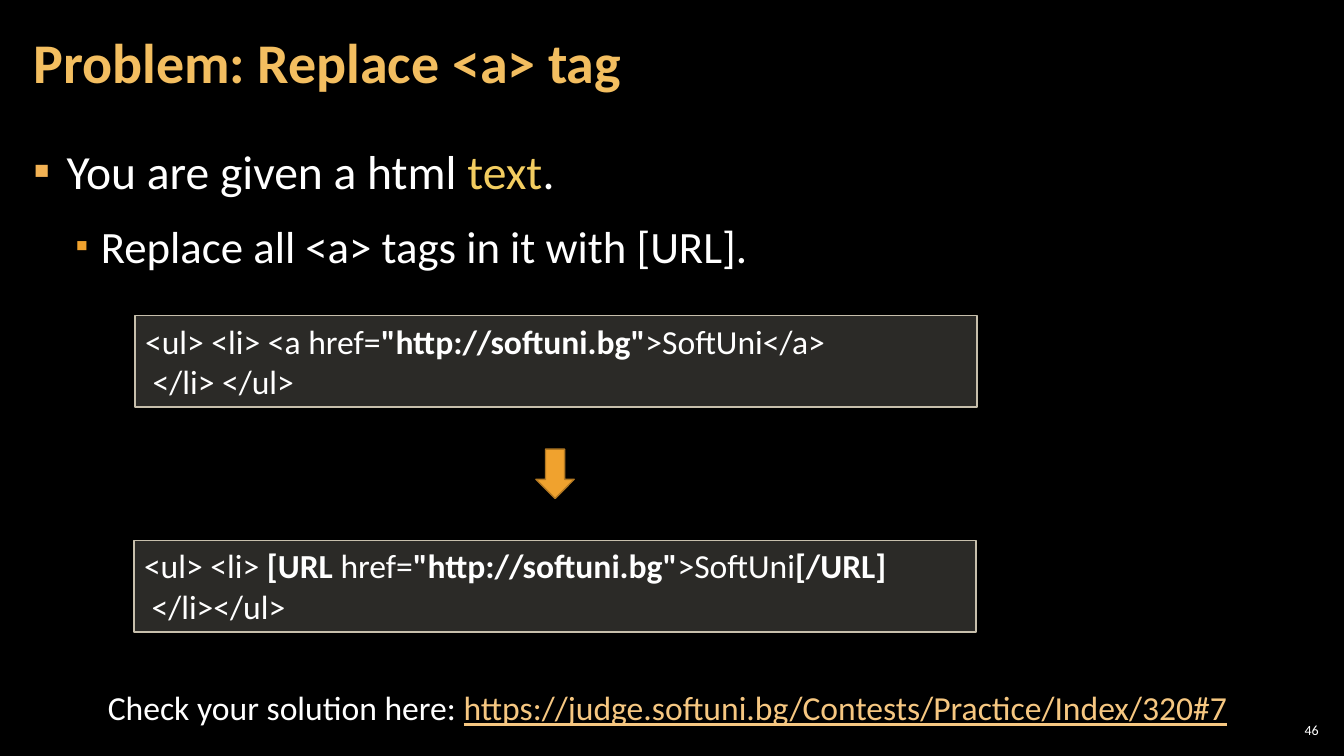
import pptx
import pptx.dml.color
import pptx.enum.shapes
import pptx.enum.text
import pptx.oxml.ns
import pptx.util
from lxml import etree

Inches = pptx.util.Inches
Pt = pptx.util.Pt
Align = pptx.enum.text.PP_ALIGN
Anchor = pptx.enum.text.MSO_ANCHOR
Shape = pptx.enum.shapes.MSO_SHAPE

WHITE, GOLD, ORANGE = "FFFFFF", "F3BE60", "F0A22E"
BOLD = {"bold": True}


def color(value):
    return pptx.dml.color.RGBColor.from_string(value)


def apply(target, values):
    for name, value in values.items():
        setattr(target, name, value)


def add_element(parent, tag, **attributes):
    element = etree.SubElement(parent, pptx.oxml.ns.qn(tag))
    for name, value in attributes.items():
        element.set(name, value)
    return element


class SlideBuilder:
    font_name = "Calibri"
    narrow_margins = (0.12, 0.04, 0.12, 0.04)
    code_margins = (0.1, 0.05, 0.1, 0.05)

    def __init__(self, presentation):
        self.slide = presentation.slides.add_slide(presentation.slide_layouts[5])
        background = self.slide.background.fill
        background.solid()
        background.fore_color.rgb = color("000000")

    def place(self, shape, box):
        apply(shape, dict(zip(("left", "top", "width", "height"), map(Inches, box))))

    def prepare_frame(self, shape, margins, anchor=Anchor.TOP):
        frame = shape.text_frame
        sides = ("margin_left", "margin_top", "margin_right", "margin_bottom")
        apply(frame, dict(zip(sides, map(Inches, margins))))
        apply(frame, {"word_wrap": True, "vertical_anchor": anchor,
                      "auto_size": pptx.enum.text.MSO_AUTO_SIZE.NONE})
        return frame

    def add_runs(self, paragraph, runs, size, base_color=WHITE, **paragraph_format):
        """Fill a paragraph with (text, font values) pairs."""
        apply(paragraph, paragraph_format)
        for text, values in runs:
            run = paragraph.add_run()
            run.text = text
            values = dict(values)
            run.font.color.rgb = color(values.pop("color", base_color))
            apply(run.font, {"name": self.font_name, "size": Pt(size), **values})

    def title(self, box, text):
        shape = self.slide.shapes.title
        self.place(shape, box)
        frame = self.prepare_frame(shape, self.narrow_margins, Anchor.MIDDLE)
        self.add_runs(frame.paragraphs[0], [(text, BOLD)], 40, GOLD,
                      alignment=Align.LEFT, line_spacing=0.9)

    def text(self, box, runs, size, alignment, margins=code_margins, anchor=Anchor.TOP):
        shape = self.slide.shapes.add_textbox(*map(Inches, box))
        frame = self.prepare_frame(shape, margins, anchor)
        self.add_runs(frame.paragraphs[0], runs, size, alignment=alignment)

    def bullets(self, box, items):
        """Items are (level, indent, hanging, bullet colour, bullet percent, size, runs)."""
        shape = self.slide.shapes.add_textbox(*map(Inches, box))
        frame = self.prepare_frame(shape, self.narrow_margins)
        for index, (level, indent, hanging, bullet_color, percent, size, runs) in enumerate(items):
            paragraph = frame.add_paragraph() if index else frame.paragraphs[0]
            properties = paragraph._p.get_or_add_pPr()
            properties.set("marL", str(Inches(indent)))
            properties.set("indent", str(-Inches(hanging)))
            add_element(add_element(properties, "a:buClr"), "a:srgbClr", val=bullet_color)
            add_element(properties, "a:buSzPct", val=str(percent * 1000))
            add_element(properties, "a:buFont", typeface=self.font_name)
            add_element(properties, "a:buChar", char="▪")
            self.add_runs(paragraph, runs, size, level=level, line_spacing=1.05,
                          space_before=Pt(6 if index else 0), space_after=Pt(6))

    def preset(self, kind, box, fill, line):
        shape = self.slide.shapes.add_shape(kind, *map(Inches, box))
        shape.shadow.inherit = False
        shape.fill.solid()
        shape.fill.fore_color.rgb = color(fill)
        shape.line.color.rgb = color(line)
        shape.line.width = Pt(1)
        return shape

    def code_box(self, box, lines):
        shape = self.preset(Shape.RECTANGLE, box, "D9D5C7", "C7BFAC")
        fill_color = shape._element.spPr.find(".//" + pptx.oxml.ns.qn("a:srgbClr"))
        add_element(fill_color, "a:alpha", val="20000")
        frame = self.prepare_frame(shape, self.code_margins)
        for index, runs in enumerate(lines):
            paragraph = frame.add_paragraph() if index else frame.paragraphs[0]
            self.add_runs(paragraph, runs, 24, alignment=Align.LEFT)

    def down_arrow(self, box):
        self.preset(Shape.RIGHT_ARROW, box, ORANGE, "B27822").rotation = 90


def main():
    presentation = pptx.Presentation()
    apply(presentation, {"slide_width": Inches(13.33), "slide_height": Inches(7.5)})
    builder = SlideBuilder(presentation)

    builder.title((0.21, 0.04, 10.47, 1.21), "Problem: Replace <a> tag")
    builder.bullets((0.21, 1.34, 12.91, 6.01), [
        (0, 0.33, 0.33, "F2B254", 100, 34,
         [("You are given a html ", {}), ("text", {"color": "F3CD60"}), (".", {})]),
        (1, 0.67, 0.25, ORANGE, 80, 32,
         [("Replace all <a> tags in it with [URL].", {})]),
    ])

    address = ('"http://softuni.bg"', BOLD)
    builder.code_box((1.34, 3.13, 8.35, 0.91), [
        [("<ul> <li> <a href=", {}), address, (">SoftUni</a>", {})],
        [(" </li> </ul>", {})],
    ])
    builder.down_arrow((5.26, 4.51, 0.49, 0.38))
    builder.code_box((1.33, 5.36, 8.35, 0.91), [
        [("<ul> <li> ", {}), ("[URL ", BOLD), ("href=", {}), address,
         (">SoftUni", {}), ("[/URL]", BOLD)],
        [(" </li></ul>", {})],
    ])

    builder.text((0.83, 6.77, 11.58, 0.5), [
        ("Check your solution here: ", {}),
        ("https://judge.softuni.bg/Contests/Practice/Index/320#7",
         {"color": "F6C781", "underline": True}),
    ], 24, Align.CENTER)
    builder.text((12.65, 7.14, 0.47, 0.21), [("46", {})], 10, Align.RIGHT,
                 (0.04, 0.04, 0.04, 0.04), Anchor.MIDDLE)
    presentation.save("out.pptx")


if __name__ == "__main__":
    main()
